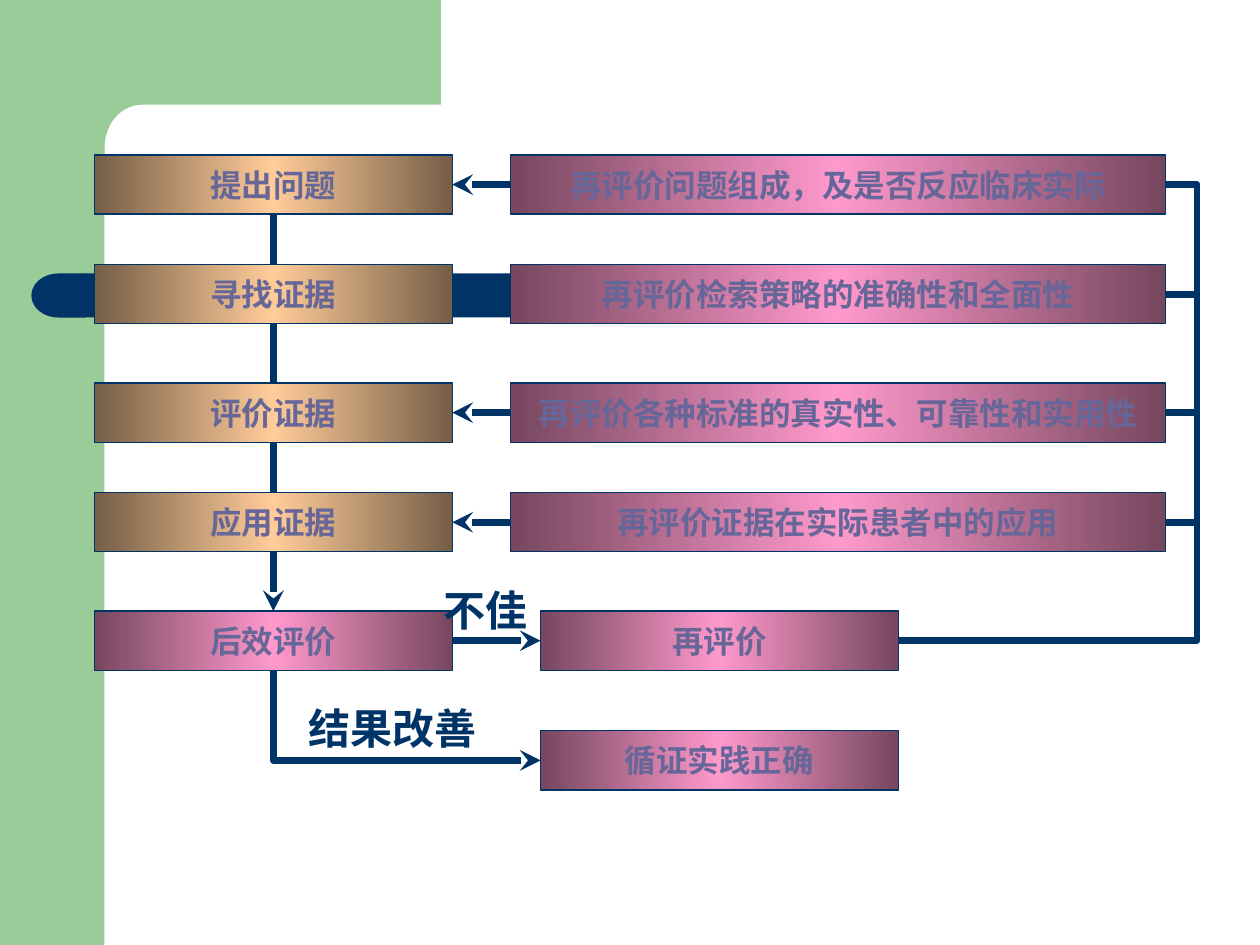
from copy import deepcopy
from math import cos, pi, sin

from lxml.etree import SubElement
from pptx import Presentation
from pptx.dml.color import RGBColor
from pptx.enum.shapes import MSO_CONNECTOR, MSO_SHAPE
from pptx.enum.text import MSO_ANCHOR, MSO_AUTO_SIZE, PP_ALIGN
from pptx.oxml.ns import qn
from pptx.util import Inches, Pt

# Content: each step of the practice with the re-evaluation that feeds back to it
STEPS = [
    ("提出问题", "再评价问题组成，及是否反应临床实际"),
    ("寻找证据", "再评价检索策略的准确性和全面性"),
    ("评价证据", "再评价各种标准的真实性、可靠性和实用性"),
    ("应用证据", "再评价证据在实际患者中的应用"),
]
EFFECT, REVIEW, SUCCESS = "后效评价", "再评价", "循证实践正确"
POOR, IMPROVED = "不佳", "结果改善"

THEME = {
    "font": "Arial", "box_size": 18, "label_size": 24,
    "ink": "003366", "box_text": "666699", "band": "99CC99",
    "tan": ("765E47", "FFCC99", "765E47"),
    "pink": ("76475E", "FF99CC", "76475E"),
    "outline": 0.75, "flow": 4,
}

# Grid in inches
SLIDE_W, SLIDE_H = 10, 7.5
ROW_TOPS = [1.23, 2.1, 3.04, 3.91, 4.85, 5.8]
BOX_H = 0.47
MIDS = [top + BOX_H / 2 for top in ROW_TOPS]
STEP_X, STEP_W = 0.75, 2.84
CHECK_X, CHECK_W = 4.05, 5.2
OUTCOME_X = 4.29
STEP_RIGHT, CHECK_RIGHT = STEP_X + STEP_W, CHECK_X + CHECK_W
OUTCOME_RIGHT = OUTCOME_X + STEP_W
STEP_MID = STEP_X + STEP_W / 2
RETURN_X = 9.5
BAND_W = 0.83

prs = Presentation()
prs.slide_width, prs.slide_height = Inches(SLIDE_W), Inches(SLIDE_H)
slide = prs.slides.add_slide(prs.slide_layouts[6])
shapes = slide.shapes


def rgb(name):
    return RGBColor.from_string(THEME.get(name, name))


def paint(shape, color):
    shape.shadow.inherit = False
    shape.fill.solid()
    shape.fill.fore_color.rgb = rgb(color)
    shape.line.fill.background()


def block(kind, x, y, w, h, color):
    shape = shapes.add_shape(kind, *map(Inches, (x, y, w, h)))
    paint(shape, color)
    return shape


def write(frame, text, size, color, align):
    paragraph = frame.paragraphs[0]
    paragraph.text = text
    paragraph.alignment = align
    font = paragraph.font
    font.name, font.size, font.bold = THEME["font"], Pt(THEME[size]), True
    font.color.rgb = rgb(color)
    return paragraph


def box(text, x, row, w, gradient):
    shape = shapes.add_shape(
        MSO_SHAPE.RECTANGLE, *map(Inches, (x, ROW_TOPS[row], w, BOX_H)))
    shape.shadow.inherit = False
    shape.fill.gradient()
    shape.fill.gradient_angle = 0
    stop_list = shape._element.spPr.find(".//" + qn("a:gsLst"))
    stop_list.append(deepcopy(stop_list[0]))
    for i, (stop, color) in enumerate(zip(shape.fill.gradient_stops, THEME[gradient])):
        stop.position = i / 2
        stop.color.rgb = rgb(color)
    shape.line.color.rgb = rgb("ink")
    shape.line.width = Pt(THEME["outline"])
    shape.text_frame.word_wrap = False
    shape.text_frame.vertical_anchor = MSO_ANCHOR.MIDDLE
    write(shape.text_frame, text, "box_size", "box_text", PP_ALIGN.CENTER)


def label(text, x, y, w, align):
    frame = shapes.add_textbox(*map(Inches, (x, y, w, 0.5))).text_frame
    frame.word_wrap = True
    frame.auto_size = MSO_AUTO_SIZE.SHAPE_TO_FIT_TEXT
    write(frame, text, "label_size", "ink", align).space_before = Pt(15)


def flow(x1, y1, x2, y2, arrow=True, kind=MSO_CONNECTOR.STRAIGHT):
    link = shapes.add_connector(kind, *map(Inches, (x1, y1, x2, y2)))
    link.line.color.rgb = rgb("ink")
    link.line.width = Pt(THEME["flow"])
    props = link._element.spPr
    if arrow:
        SubElement(props.find(qn("a:ln")), qn("a:tailEnd"), type="stealth")
    SubElement(props, qn("a:effectLst"))
    return props


# Green frame with a rounded inner corner
block(MSO_SHAPE.RECTANGLE, 0, 0, BAND_W, SLIDE_H, "band")
RX, RY = 0.3, 0.34
arc = [(BAND_W + RX * (1 - sin(a)), BAND_W + RY * (1 - cos(a)))
       for a in (i * pi / 24 for i in range(13))]
outline = [(3.5, 0), (3.5, BAND_W), *arc, (BAND_W, 1.28), (0.5, 1.28), (0.5, 0)]
points = [(Inches(x), Inches(y)) for x, y in outline]
corner = shapes.build_freeform(*points[0])
corner.add_line_segments(points[1:])
paint(corner.convert_to_shape(), "band")

# Navy bar with a round left end
block(MSO_SHAPE.RECTANGLE, 0.67, 2.17, 7.67, 0.35, "ink")
cap = block(MSO_SHAPE.FLOWCHART_DELAY, 0.25, 2.17, 0.43, 0.35, "ink")
cap._element.spPr.find(qn("a:xfrm")).set("flipH", "1")

# Main path, then the steps and their checks
flow(STEP_MID, MIDS[0] + BOX_H / 2, STEP_MID, ROW_TOPS[4])
for row, (step, check) in enumerate(STEPS):
    box(step, STEP_X, row, STEP_W, "tan")
    box(check, CHECK_X, row, CHECK_W, "pink")
    flow(CHECK_X, MIDS[row], STEP_RIGHT, MIDS[row])
    if row:
        flow(CHECK_RIGHT, MIDS[row], RETURN_X, MIDS[row], arrow=False)

# Outcomes
box(EFFECT, STEP_X, 4, STEP_W, "pink")
box(REVIEW, OUTCOME_X, 4, STEP_W, "pink")
box(SUCCESS, OUTCOME_X, 5, STEP_W, "pink")
flow(STEP_RIGHT, MIDS[4], OUTCOME_X, MIDS[4])

# Return path from the review to the first check
back = flow(OUTCOME_RIGHT, MIDS[4], CHECK_RIGHT, MIDS[0], False, MSO_CONNECTOR.ELBOW)
bend = (RETURN_X - OUTCOME_RIGHT) / (CHECK_RIGHT - OUTCOME_RIGHT)
SubElement(back.find(qn("a:prstGeom")).find(qn("a:avLst")), qn("a:gd"),
           name="adj1", fmla=f"val {round(bend * 100000)}")

# Down-and-right path to success: a single bend, turned a quarter
start_y = ROW_TOPS[4] + BOX_H
mid_x, mid_y = (STEP_MID + OUTCOME_X) / 2, (start_y + MIDS[5]) / 2
half_w, half_h = (MIDS[5] - start_y) / 2, (OUTCOME_X - STEP_MID) / 2
turn = flow(mid_x + half_w, mid_y - half_h, mid_x - half_w, mid_y + half_h,
            kind=MSO_CONNECTOR.ELBOW)
turn.find(qn("a:prstGeom")).set("prst", "bentConnector2")
turn.find(qn("a:xfrm")).set("rot", str(270 * 60000))

label(POOR, 3.42, 4.59, 0.95, PP_ALIGN.LEFT)
label(IMPROVED, 2.09, 5.53, 2.05, PP_ALIGN.CENTER)

prs.save("out.pptx")
